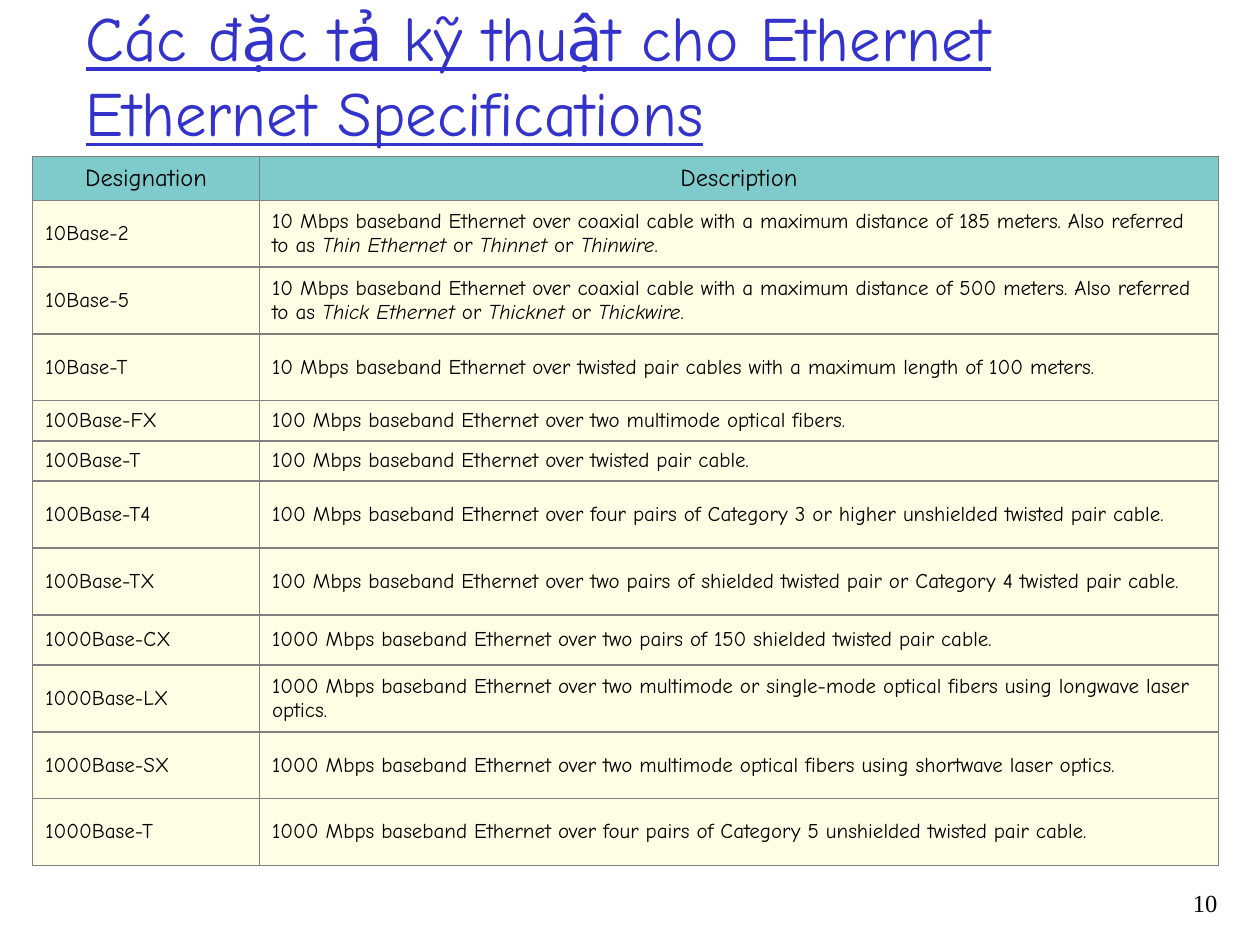
from lxml import etree
from pptx import Presentation
from pptx import util as u
from pptx.dml.color import RGBColor
from pptx.enum import text
from pptx.oxml import ns

BLACK = RGBColor(0x00, 0x00, 0x00)
BLUE = RGBColor(0x33, 0x33, 0xCC)
TEAL = RGBColor(0x00, 0x99, 0x99)
YELLOW = RGBColor(0xFF, 0xFF, 0x00)
GRAY = RGBColor(0x80, 0x80, 0x80)

COLUMN_WIDTHS = (1.8, 7.61)
SHORT, TALL = 0.32, 0.53
HEADER = ("Designation", "Description")
ETHERNET = "Mbps baseband Ethernet over"
COAXIAL = "coaxial cable with a maximum distance of"
SPECIFICATIONS = [
    ("10Base-2", f"10 {ETHERNET} {COAXIAL} 185 meters. Also referred to as "
     "*Thin Ethernet* or *Thinnet* or *Thinwire*.", TALL),
    ("10Base-5", f"10 {ETHERNET} {COAXIAL} 500 meters. Also referred to as "
     "*Thick Ethernet* or *Thicknet* or *Thickwire*.", TALL),
    ("10Base-T", f"10 {ETHERNET} twisted pair cables with a maximum length of 100 meters.", TALL),
    ("100Base-FX", f"100 {ETHERNET} two multimode optical fibers.", SHORT),
    ("100Base-T", f"100 {ETHERNET} twisted pair cable.", SHORT),
    ("100Base-T4", f"100 {ETHERNET} four pairs of Category 3 or higher "
     "unshielded twisted pair cable.", TALL),
    ("100Base-TX", f"100 {ETHERNET} two pairs of shielded twisted pair or "
     "Category 4 twisted pair cable.", TALL),
    ("1000Base-CX", f"1000 {ETHERNET} two pairs of 150 shielded twisted pair cable.", 0.4),
    ("1000Base-LX", f"1000 {ETHERNET} two multimode or single-mode optical fibers "
     "using longwave laser optics.", TALL),
    ("1000Base-SX", f"1000 {ETHERNET} two multimode optical fibers "
     "using shortwave laser optics.", TALL),
    ("1000Base-T", f"1000 {ETHERNET} four pairs of Category 5 "
     "unshielded twisted pair cable.", TALL),
]


def apply(target, values):
    """Set each named attribute on the target."""
    for name, value in values.items():
        setattr(target, name, value)


class SlideBuilder:
    """Holds the text style and the current slide."""

    def __init__(self, page, font="Comic Neue"):
        """Start building on a slide."""
        self.page = page
        self.font = font

    def paragraph(self, para, words, align, size, color=BLACK, **style):
        """Fill a paragraph, with italics between asterisks."""
        para.alignment = align
        for index, part in enumerate(words.split("*")):
            span = para.add_run()
            span.text = part
            values = {"name": self.font, "size": u.Pt(size), "italic": index % 2 == 1}
            apply(span.font, values | style)
            span.font.color.rgb = color

    def title(self, words, place):
        """Move and fill the title placeholder."""
        box = self.page.shapes.title
        apply(box, dict(zip(("left", "top", "width", "height"), map(u.Inches, place))))
        apply(box.text_frame, {"vertical_anchor": text.MSO_ANCHOR.MIDDLE, "word_wrap": True,
                               "auto_size": text.MSO_AUTO_SIZE.NONE})
        self.paragraph(box.text_frame.paragraphs[0], words, text.PP_ALIGN.LEFT, 36, BLUE,
                       underline=True)

    def label(self, words, place):
        """Add a right-aligned text box."""
        box = self.page.shapes.add_textbox(*map(u.Inches, place))
        box.text_frame.word_wrap = True
        self.paragraph(box.text_frame.paragraphs[0], words, text.PP_ALIGN.RIGHT, 14,
                       name="Times New Roman")

    def cell(self, cell, words, align, size, color, opacity):
        """Fill and frame one table cell."""
        cell.vertical_anchor = text.MSO_ANCHOR.MIDDLE
        cell.fill.solid()
        cell.fill.fore_color.rgb = color
        properties = cell._tc.get_or_add_tcPr()
        tint = properties.find(".//" + ns.qn("a:srgbClr"))
        etree.SubElement(tint, ns.qn("a:alpha"), val=str(opacity * 1000))
        for index, side in enumerate(("lnL", "lnR", "lnT", "lnB")):
            line = etree.Element(ns.qn(f"a:{side}"), w=str(u.Pt(1)))
            fill = etree.SubElement(line, ns.qn("a:solidFill"))
            etree.SubElement(fill, ns.qn("a:srgbClr"), val=str(GRAY))
            properties.insert(index, line)
        self.paragraph(cell.text_frame.paragraphs[0], words, align, size)

    def table(self, header, entries, left, top):
        """Add the table of specifications."""
        rows = [(*header, 0.35), *entries]
        heights = [height for *_, height in rows]
        size = (sum(COLUMN_WIDTHS), sum(heights))
        grid = self.page.shapes.add_table(
            len(rows), len(header), *map(u.Inches, (left, top, *size))).table
        for column, width in zip(grid.columns, COLUMN_WIDTHS):
            column.width = u.Inches(width)
        for index, (*words, height) in enumerate(rows):
            grid.rows[index].height = u.Inches(height)
            look = ((text.PP_ALIGN.LEFT, 12, YELLOW, 10) if index
                    else (text.PP_ALIGN.CENTER, 14, TEAL, 50))
            for cell, content in zip(grid.rows[index].cells, words):
                self.cell(cell, content, *look)


def main():
    """Build and save the deck."""
    deck = Presentation()
    apply(deck, {"slide_width": u.Inches(10), "slide_height": u.Inches(7.5)})
    builder = SlideBuilder(deck.slides.add_slide(deck.slide_layouts[5]))
    builder.label("10", (9.08, 7, 0.68, 0.5))
    builder.title("Các đặc tả kỹ thuật cho Ethernet Ethernet Specifications",
                  (0.58, -0.04, 8.5, 1.25))
    builder.table(HEADER, SPECIFICATIONS, 0.26, 1.24)
    deck.save("out.pptx")


if __name__ == "__main__":
    main()
